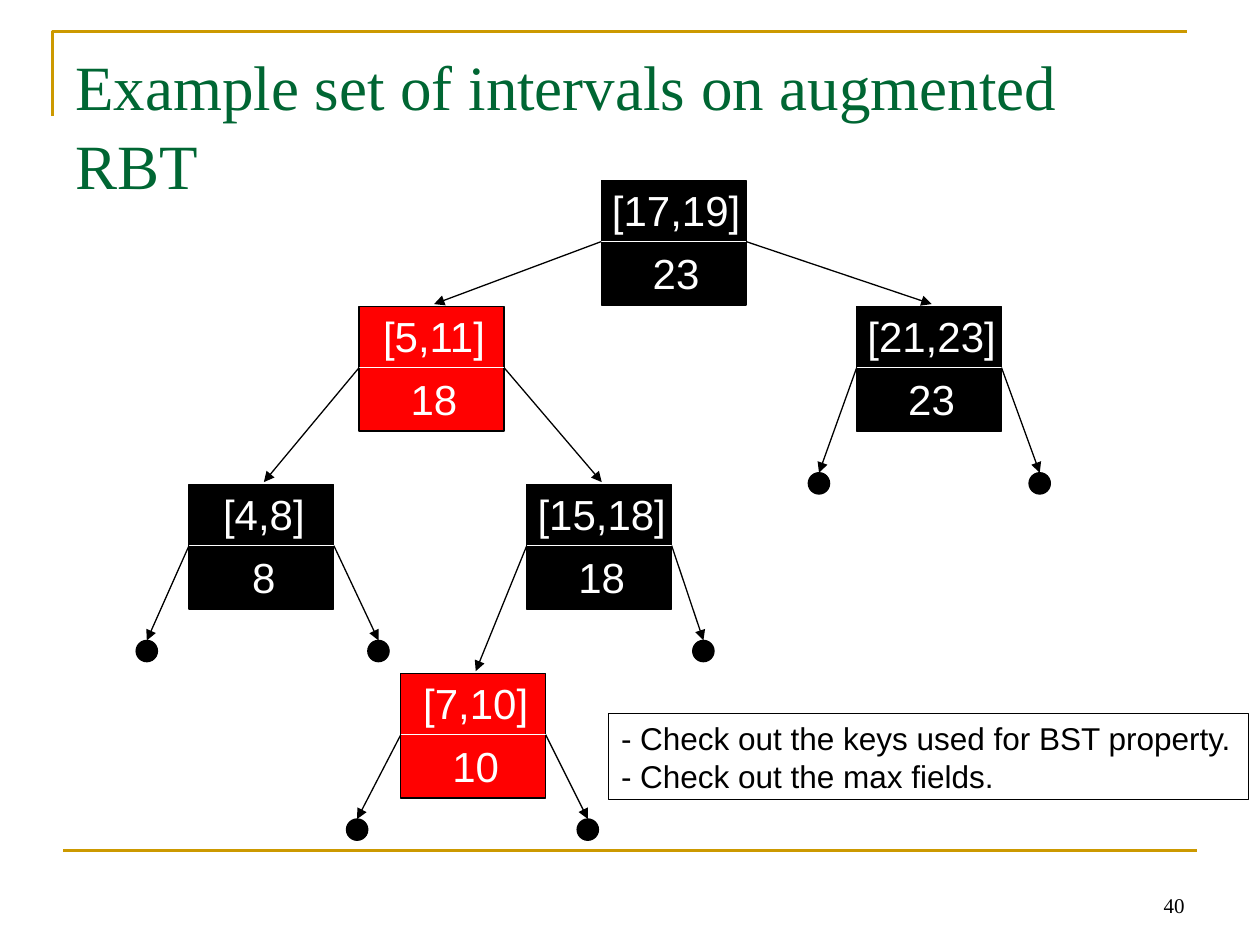
from collections import namedtuple

from lxml.etree import SubElement
from pptx import Presentation
from pptx.dml.color import RGBColor
from pptx.enum.shapes import MSO_CONNECTOR, MSO_SHAPE
from pptx.enum.text import MSO_ANCHOR, PP_ALIGN
from pptx.oxml.ns import qn
from pptx.util import Cm, Pt

COLORS = {
    "black": "000000",
    "red": "FF0101",
    "white": "FFFFFF",
    "gold": "CC9900",
    "green": "006633",
}

# All lengths are in centimetres
NODE_WIDTH, NODE_HEIGHT = 2.92, 2.51
DIVIDER_DROP = 1.23
ROW_HEIGHT = 1.27
TEXT_SHIFT = 0.05
LEAF_SIZE = 0.43

Node = namedtuple("Node", "left top key maximum color children")
Leaf = namedtuple("Leaf", "center top")

# Each inner node holds its left and right child
TREE = Node(12.12, 3.64, "[17,19]", "23", "black", (
    Node(7.24, 6.18, "[5,11]", "18", "red", (
        Node(3.81, 9.77, "[4,8]", "8", "black", (
            Leaf(2.96, 12.91), Leaf(7.63, 12.91))),
        Node(10.62, 9.77, "[15,18]", "18", "black", (
            Node(8.08, 13.58, "[7,10]", "10", "red", (
                Leaf(7.2, 16.51), Leaf(11.85, 16.51))),
            Leaf(14.18, 12.91))))),
    Node(17.27, 6.18, "[21,23]", "23", "black", (
        Leaf(16.51, 9.53), Leaf(20.96, 9.53)))))


def color(name):
    return RGBColor.from_string(COLORS[name])


def add_text(slide, position, text, size, font, ink, align=PP_ALIGN.LEFT,
             wrap=True, anchor=MSO_ANCHOR.TOP):
    box = slide.shapes.add_textbox(*(Cm(length) for length in position))
    box.text_frame.word_wrap = wrap
    box.text_frame.vertical_anchor = anchor
    write(box, text, size, font, ink, align)
    return box


def write(shape, text, size, font, ink, align):
    shape.text_frame.text = text
    for paragraph in shape.text_frame.paragraphs:
        paragraph.alignment = align
        paragraph.font.size = Pt(size)
        paragraph.font.name = font
        paragraph.font.color.rgb = color(ink)


def add_block(slide, kind, position, fill=None):
    block = slide.shapes.add_shape(kind, *(Cm(length) for length in position))
    block.shadow.inherit = False
    if fill:
        block.fill.solid()
        block.fill.fore_color.rgb = color(fill)
    else:
        block.fill.background()
    block.line.color.rgb = color("black")
    block.line.width = Pt(0.75)
    return block


def add_line(slide, start, end, ink, width=0.75, arrow=False):
    points = (Cm(length) for length in (*start, *end))
    line = slide.shapes.add_connector(MSO_CONNECTOR.STRAIGHT, *points)
    line.line.color.rgb = color(ink)
    line.line.width = Pt(width)
    if arrow:
        SubElement(line.line._get_or_add_ln(), qn("a:tailEnd"), type="triangle")
    SubElement(line._element.spPr, qn("a:effectLst"))


def add_label(slide, node, text, top):
    digits = sum(letter.isdigit() for letter in text)
    width = 0.51 + 0.47 * digits + 0.235 * (len(text) - digits)
    left = node.left + NODE_WIDTH / 2 + TEXT_SHIFT - width / 2
    add_text(slide, (left, top, width, ROW_HEIGHT), text, 24, "Arial", "white",
             PP_ALIGN.CENTER, wrap=False)


def add_node(slide, node):
    divider = node.top + DIVIDER_DROP
    right = node.left + NODE_WIDTH
    add_block(slide, MSO_SHAPE.RECTANGLE,
              (node.left, node.top, NODE_WIDTH, NODE_HEIGHT), node.color)
    add_label(slide, node, node.key, node.top - TEXT_SHIFT)
    add_label(slide, node, node.maximum, divider)
    add_line(slide, (node.left, divider), (right, divider), "white")


def add_leaf(slide, leaf):
    add_block(slide, MSO_SHAPE.OVAL,
              (leaf.center - LEAF_SIZE / 2, leaf.top, LEAF_SIZE, LEAF_SIZE),
              "black")


def arrow_target(item):
    if isinstance(item, Leaf):
        return item.center, item.top
    return item.left + NODE_WIDTH / 2 + TEXT_SHIFT, item.top - TEXT_SHIFT


def add_tree(slide, item):
    if isinstance(item, Leaf):
        add_leaf(slide, item)
        return
    add_node(slide, item)
    sides = (item.left, item.left + NODE_WIDTH)
    for side, child in zip(sides, item.children):
        add_tree(slide, child)
        add_line(slide, (side, item.top + DIVIDER_DROP), arrow_target(child),
                 "black", arrow=True)


def add_frame(slide):
    # Corner rule around the title
    builder = slide.shapes.build_freeform(Cm(1.06), Cm(2.34))
    builder.add_line_segments([(Cm(1.06), Cm(0.64)), (Cm(23.92), Cm(0.64))],
                              close=False)
    corner = builder.convert_to_shape()
    corner.shadow.inherit = False
    corner.fill.background()
    corner.line.color.rgb = color("gold")
    corner.line.width = Pt(1.5)

    # Footer rule and page number
    add_line(slide, (1.27, 17.15), (24.13, 17.15), "gold", 1.5)
    add_text(slide, (18.21, 17.35, 5.92, 1.27), "40", 12, "Times New Roman",
             "black", PP_ALIGN.RIGHT, anchor=MSO_ANCHOR.BOTTOM)


def add_note(slide):
    note = add_block(slide, MSO_SHAPE.RECTANGLE, (12.27, 14.39, 12.9, 1.73))
    note.text_frame.word_wrap = False
    write(note, "- Check out the keys used for BST property.\n"
          "- Check out the max fields.", 18, "Arial", "black", PP_ALIGN.LEFT)


def main():
    deck = Presentation()
    deck.slide_width, deck.slide_height = Cm(25.4), Cm(19.05)
    slide = deck.slides.add_slide(deck.slide_layouts[6])

    add_frame(slide)
    title = add_text(slide, (1.27, 0.76, 22.86, 3.18),
                     "Example set of intervals on augmented RBT", 36,
                     "Times New Roman", "green")
    title.text_frame.paragraphs[0].line_spacing = 1.05
    add_tree(slide, TREE)
    add_note(slide)

    deck.save("out.pptx")


if __name__ == "__main__":
    main()
